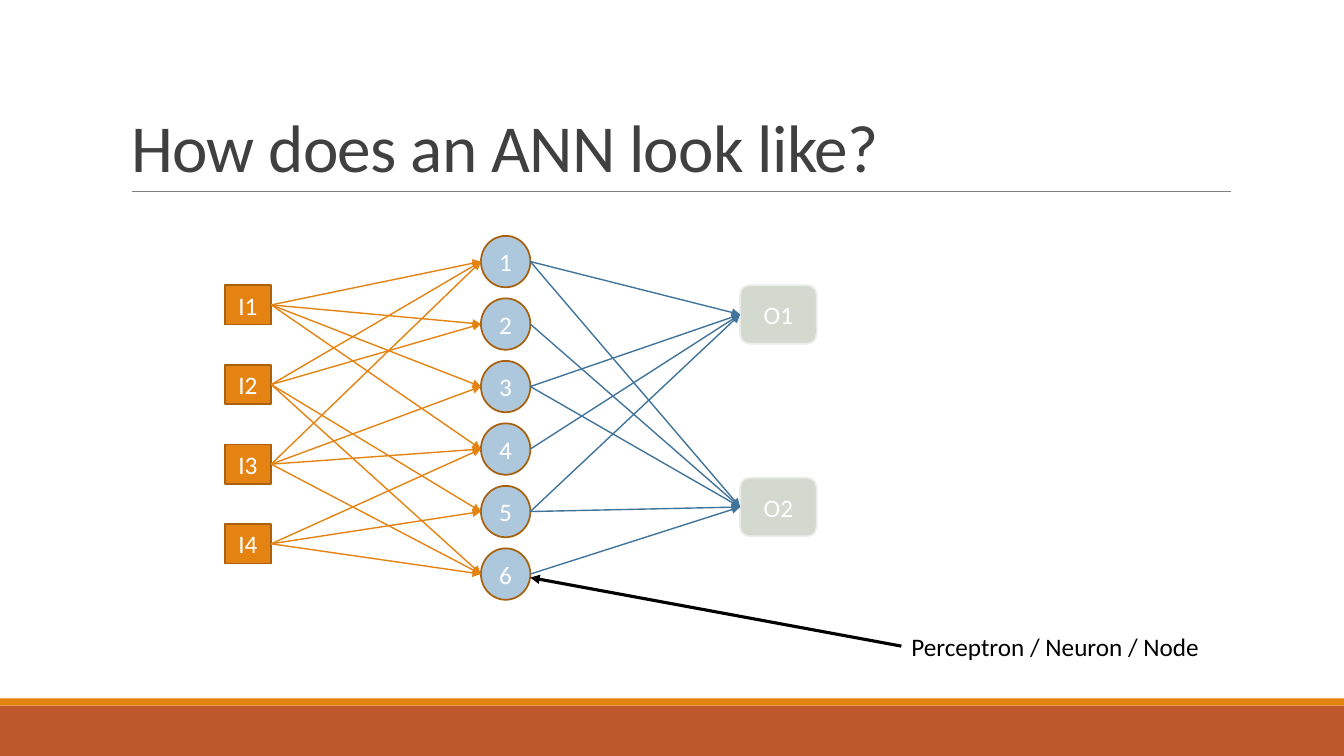
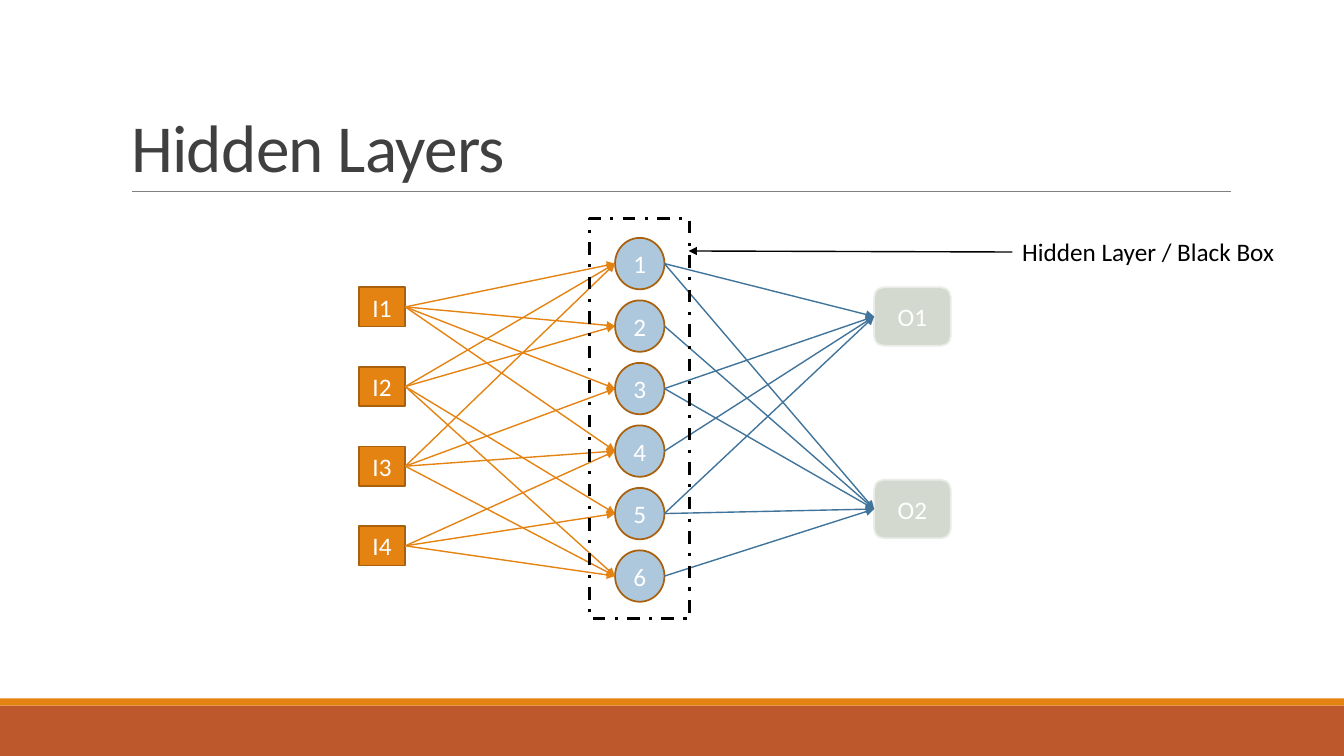
from dataclasses import dataclass

from lxml.etree import SubElement
from pptx import Presentation
from pptx.dml.color import RGBColor
from pptx.enum.dml import MSO_LINE
from pptx.enum.shapes import MSO_CONNECTOR, MSO_SHAPE
from pptx.enum.text import MSO_ANCHOR, MSO_AUTO_SIZE, PP_ALIGN
from pptx.oxml.ns import qn
from pptx.util import Inches, Pt


@dataclass(frozen=True)
class Theme:
    font: str = "Calibri"
    title_size: int = 48
    text_size: int = 18
    title: str = "404040"
    rule: str = "808080"
    band: str = "BD582C"
    orange: str = "E48312"
    outline: str = "A9610D"
    neuron: str = "ADC8DD"
    output: str = "D4D9CF"
    output_outline: str = "EAECE7"
    blue: str = "40749B"
    black: str = "000000"
    white: str = "FFFFFF"


theme = Theme()


def write(shape, text, size=theme.text_size, color=theme.black, align=PP_ALIGN.LEFT,
          line_spacing=None, tracking=None):
    paragraph = shape.text_frame.paragraphs[0]
    paragraph.alignment = align
    paragraph.line_spacing = line_spacing
    run = paragraph.add_run()
    run.text = text
    run.font.name = theme.font
    run.font.size = Pt(size)
    run.font.color.rgb = RGBColor.from_string(color)
    if tracking is not None:
        for properties in shape.element.iter(qn("a:rPr")):
            properties.set("spc", str(round(tracking * 100)))


def add_line(slide, start, end, color, width, arrow=True):
    line = slide.shapes.add_connector(
        MSO_CONNECTOR.STRAIGHT, *(Inches(value) for value in (*start, *end)))
    line.line.color.rgb = RGBColor.from_string(color)
    line.line.width = Pt(width)
    if arrow:
        SubElement(line.line._get_or_add_ln(), qn("a:tailEnd"), type="triangle")
    SubElement(line.element.spPr, qn("a:effectLst"))
    return line


presentation = Presentation()
presentation.slide_width = Inches(13.33)
presentation.slide_height = Inches(7.5)
layout = presentation.slide_layouts[5]

layout_title = layout.placeholders[0]
layout_title.left, layout_title.top = Inches(1.2), Inches(0.31)
layout_title.width, layout_title.height = Inches(11), Inches(1.59)
layout_title.text_frame.vertical_anchor = MSO_ANCHOR.BOTTOM
layout_title.text_frame.auto_size = MSO_AUTO_SIZE.NONE

slides = [presentation.slides.add_slide(layout) for _ in range(2)]
look_slide, hidden_slide = slides

# Bands and rule belong to the layout
frame = [add_line(look_slide, (1.31, 1.9), (12.21, 1.9), theme.rule, 0.5, arrow=False)]
for top, height, color in ((7, 0.5, theme.band), (6.93, 0.07, theme.orange)):
    band = look_slide.shapes.add_shape(
        MSO_SHAPE.RECTANGLE, 0, Inches(top), presentation.slide_width, Inches(height))
    band.shadow.inherit = False
    band.fill.solid()
    band.fill.fore_color.rgb = RGBColor.from_string(color)
    band.line.fill.background()
    frame.append(band)
for shape in frame:
    layout.shapes.element.append(shape.element)

# Layer: labels, shape, x and y offset, pitch, width, height, fill, outline
layers = (
    (("I1", "I2", "I3", "I4"), MSO_SHAPE.RECTANGLE, 0, 0.49, 0.79, 0.46, 0.39,
     theme.orange, theme.outline),
    (("1", "2", "3", "4", "5", "6"), MSO_SHAPE.OVAL, 2.54, 0, 0.62, 0.49, 0.51,
     theme.neuron, theme.outline),
    (("O1", "O2"), MSO_SHAPE.ROUNDED_RECTANGLE, 5.11, 0.49, 1.91, 0.76, 0.58,
     theme.output, theme.output_outline),
)
input_links = {"I1": "1234", "I2": "1256", "I3": "1346", "I4": "456"}
output_links = {"O1": "1345", "O2": "12356"}

titles = ("How does an ANN look like?", "Hidden Layers")
origins = ((2.23, 2.34), (3.56, 2.36))
for slide, title, (left, top) in zip(slides, titles, origins):
    write(slide.shapes.title, title, size=theme.title_size, color=theme.title,
          line_spacing=0.85, tracking=-0.5)

    nodes, sides = {}, {}
    for labels, kind, dx, dy, pitch, width, height, fill, outline in layers:
        for index, label in enumerate(labels):
            x, y = left + dx, top + dy + index * pitch
            node = slide.shapes.add_shape(
                kind, Inches(x), Inches(y), Inches(width), Inches(height))
            node.shadow.inherit = False
            node.fill.solid()
            node.fill.fore_color.rgb = RGBColor.from_string(fill)
            node.line.color.rgb = RGBColor.from_string(outline)
            node.line.width = Pt(1.25)
            node.text_frame.vertical_anchor = MSO_ANCHOR.MIDDLE
            write(node, label, color=theme.white, align=PP_ALIGN.CENTER)
            nodes[label] = node
            middle = y + height / 2
            sides[label] = (x, middle), (x + width, middle)

    for source, neurons in input_links.items():
        for neuron in neurons:
            link = add_line(slide, sides[source][1], sides[neuron][0], theme.orange, 1)
            link.begin_connect(nodes[source], 3)
    for target, neurons in output_links.items():
        for neuron in neurons:
            link = add_line(slide, sides[neuron][1], sides[target][0], theme.blue, 1)
            link.end_connect(nodes[target], 1)

hidden_box = hidden_slide.shapes.add_shape(
    MSO_SHAPE.RECTANGLE, Inches(5.85), Inches(2.17), Inches(0.99), Inches(3.97))
hidden_box.shadow.inherit = False
hidden_box.fill.background()
hidden_box.line.color.rgb = RGBColor.from_string(theme.black)
hidden_box.line.width = Pt(2.25)
hidden_box.line.dash_style = MSO_LINE.DASH_DOT

callouts = (
    (look_slide, "Perceptron / Neuron / Node", (8.94, 6.41), (5.26, 5.73), 3.19, 2.25),
    (hidden_slide, "Hidden Layer / Black Box", (10.04, 2.5), (6.83, 2.49), 2.73, 1),
)
for slide, text, start, end, width, weight in callouts:
    add_line(slide, start, end, theme.black, weight)
    label = slide.shapes.add_textbox(
        Inches(start[0]), Inches(start[1] - 0.2), Inches(width), Inches(0.4))
    label.text_frame.word_wrap = False
    label.text_frame.auto_size = MSO_AUTO_SIZE.SHAPE_TO_FIT_TEXT
    write(label, text)

presentation.save("out.pptx")
